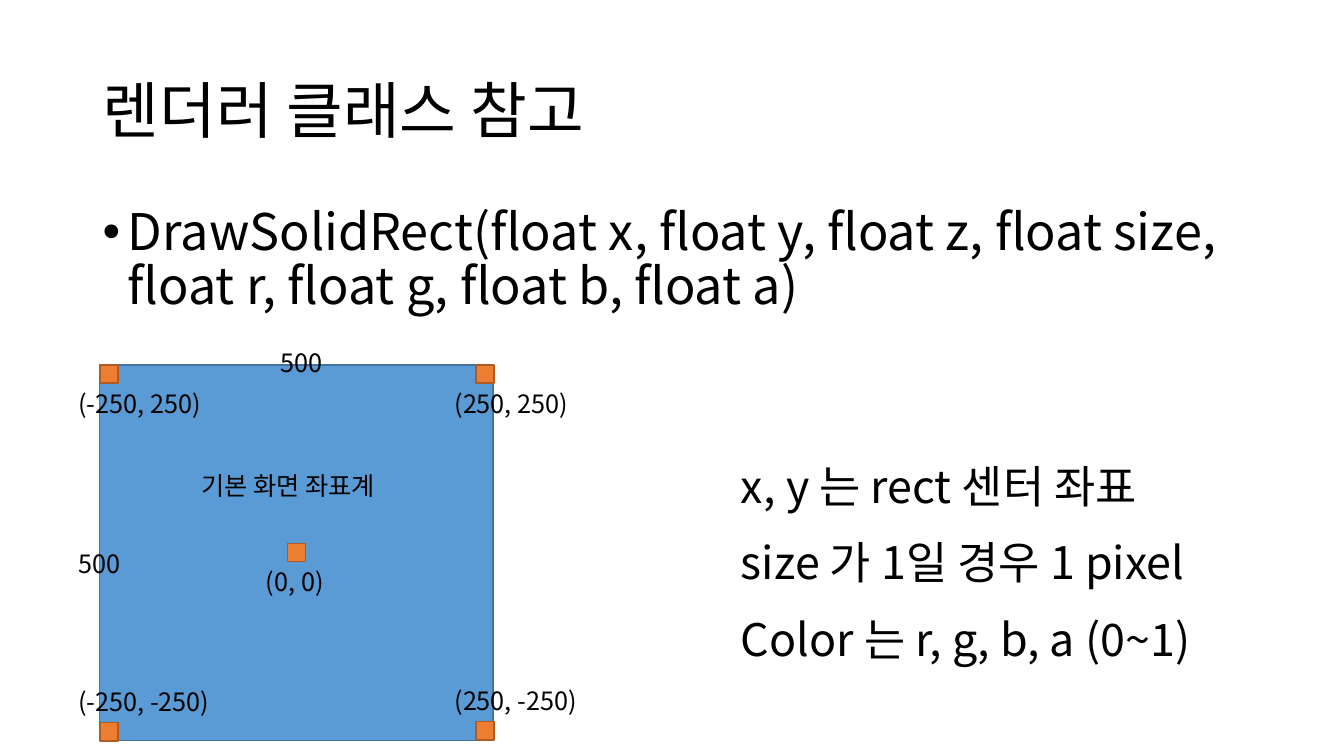
from dataclasses import dataclass

import lxml.etree
import pptx
import pptx.dml.color
import pptx.enum.shapes
import pptx.enum.text
import pptx.oxml.ns
import pptx.slide
import pptx.text.text
import pptx.util

PX = 9144  # 100 px to the inch
FONT = "Noto Sans CJK KR"
BLACK = "000000"
MARKER_SIZE = 18
TOP = pptx.enum.text.MSO_ANCHOR.TOP
MIDDLE = pptx.enum.text.MSO_ANCHOR.MIDDLE


@dataclass
class Label:
    text: str
    left: int
    top: int
    width: int
    height: int = 40
    size: int = 18
    line_spacing: float = 1.0
    anchor: pptx.enum.text.MSO_ANCHOR = TOP
    bullet: bool = False


@dataclass
class Square:
    left: int
    top: int
    width: int
    height: int
    fill: str
    line: str


def px(length: int) -> pptx.util.Emu:
    return pptx.util.Emu(length * PX)


def color(value: str) -> pptx.dml.color.RGBColor:
    return pptx.dml.color.RGBColor.from_string(value)


def add_bullet(para: pptx.text.text._Paragraph) -> None:
    properties = para._p.get_or_add_pPr()
    properties.set("marL", str(px(25)))
    properties.set("indent", str(px(-25)))
    for tag, attribute, value in (("a:buFont", "typeface", "Arial"), ("a:buChar", "char", "•")):
        mark = lxml.etree.SubElement(properties, pptx.oxml.ns.qn(tag))
        mark.set(attribute, value)


def draw_label(page: pptx.slide.Slide, label: Label) -> None:
    box = page.shapes.add_textbox(px(label.left), px(label.top), px(label.width), px(label.height))
    frame = box.text_frame
    frame.word_wrap = True
    frame.vertical_anchor = label.anchor
    para = frame.paragraphs[0]
    para.line_spacing = label.line_spacing
    if label.bullet:
        add_bullet(para)
    span = para.add_run()
    span.text = label.text
    span.font.color.rgb = color(BLACK)
    formats = {"name": FONT, "size": pptx.util.Pt(label.size)}
    for name, value in formats.items():
        setattr(span.font, name, value)
    # Hangul takes its typeface from the East Asian slot
    east_asian = lxml.etree.SubElement(span._r.get_or_add_rPr(), pptx.oxml.ns.qn("a:ea"))
    east_asian.set("typeface", FONT)


def draw_square(page: pptx.slide.Slide, square: Square) -> None:
    shape = page.shapes.add_shape(
        pptx.enum.shapes.MSO_SHAPE.RECTANGLE,
        px(square.left), px(square.top), px(square.width), px(square.height),
    )
    shape.shadow.inherit = False
    shape.fill.solid()
    shape.fill.fore_color.rgb = color(square.fill)
    shape.line.color.rgb = color(square.line)
    shape.line.width = pptx.util.Pt(1)


# Title and function signature
HEADINGS = [
    Label("렌더러 클래스 참고", 92, 40, 1150, 145, 44, 0.9, MIDDLE),
    Label("DrawSolidRect(float x, float y, float z, float size, float r, float g, float b, float a)",
          92, 200, 1150, 476, 36, 0.9, bullet=True),
]

# Coordinate plane with markers at its corners and centre
PLANE = Square(99, 362, 390, 373, "5B9BD5", "43739E")
MARKER_SPOTS = [(99, 362), (472, 362), (99, 717), (472, 716), (285, 539)]
COORDINATES = [
    Label("(-250, 250)", 68, 380, 180),
    Label("(250, 250)", 441, 380, 180),
    Label("(-250, -250)", 68, 676, 180),
    Label("(250, -250)", 441, 675, 180),
    Label("(0, 0)", 254, 557, 97),
    Label("500", 68, 539, 84),
    Label("500", 268, 340, 84),
    Label("기본 화면 좌표계", 190, 462, 271),
]

# Parameter notes
NOTES = ["x, y 는 rect 센터 좌표", "size 가 1일 경우 1 pixel", "Color 는 r, g, b, a (0~1)"]
NOTE_TOP, NOTE_STEP = 450, 76


def main() -> None:
    deck = pptx.Presentation()
    deck.slide_width, deck.slide_height = px(1333), px(750)
    page = deck.slides.add_slide(deck.slide_layouts[6])

    for heading in HEADINGS:
        draw_label(page, heading)

    draw_square(page, PLANE)
    for left, top in MARKER_SPOTS:
        draw_square(page, Square(left, top, MARKER_SIZE, MARKER_SIZE, "ED7D31", "AF5C24"))
    for coordinate in COORDINATES:
        draw_label(page, coordinate)

    for row, note in enumerate(NOTES):
        draw_label(page, Label(note, 725, NOTE_TOP + row * NOTE_STEP, 540, 64, 32))

    deck.save("out.pptx")


if __name__ == "__main__":
    main()
